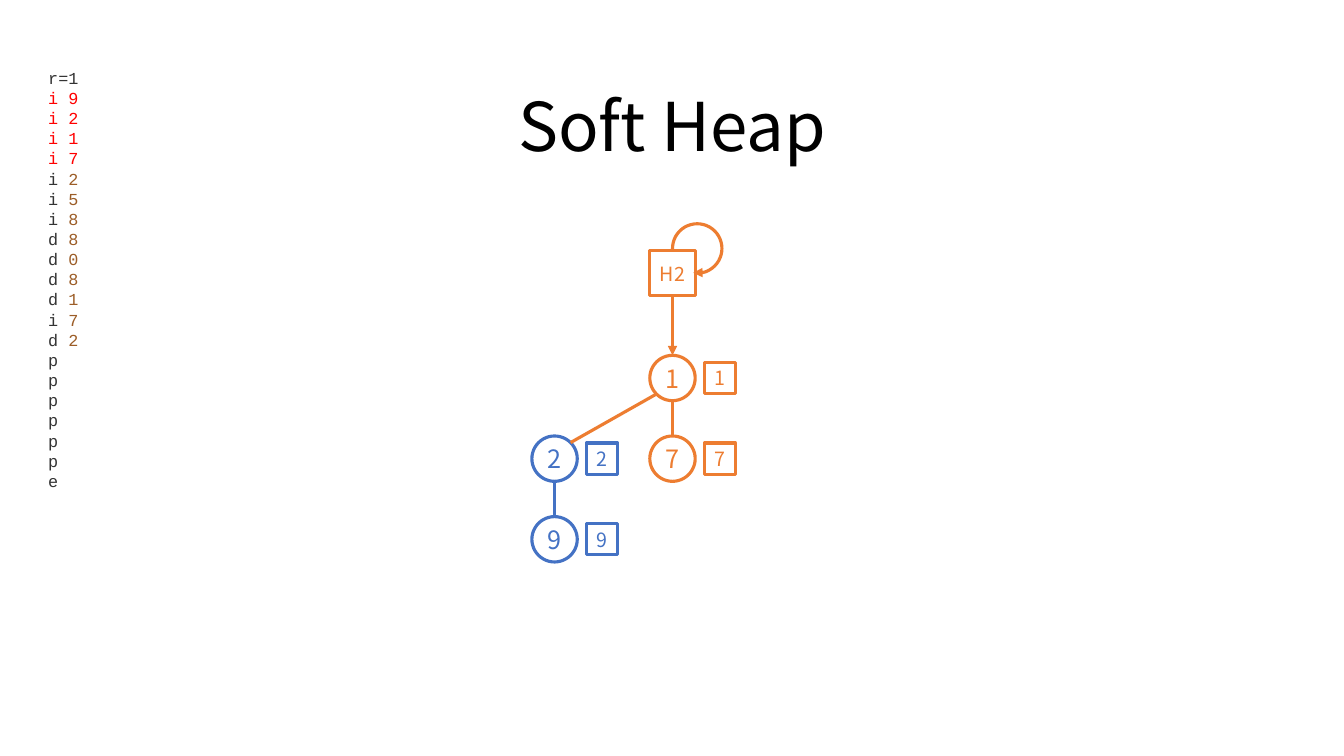
from dataclasses import dataclass
from math import cos, radians, sin

from lxml.etree import SubElement
from pptx import Presentation
from pptx.dml.color import RGBColor
from pptx.enum.shapes import MSO_CONNECTOR, MSO_SHAPE as Preset
from pptx.enum.text import MSO_ANCHOR as Anchor, MSO_AUTO_SIZE as AutoSize, PP_ALIGN as Align
from pptx.oxml.ns import qn
from pptx.util import Inches, Pt

COLORS = {
    "title": "000000",
    "code": "333333",
    "done": "FF0000",
    "number": "9C5D27",
    "orange": "ED7D31",
    "blue": "4472C4",
}
SANS, MONO = "Noto Sans CJK SC", "Courier New"

# Tree grid in inches: centre of column 0, row 0, and the steps between cells
GRID_LEFT, GRID_TOP = 5.5, 3.75
COLUMN_STEP, ROW_STEP = 1.17, 0.8
NODE_SIZE, KEY_SIZE, LOOP_SIZE = 0.45, 0.31, 0.49
KEY_OFFSET = 0.47
HEAP_ROW = -1.3

DONE_STEPS = ["i 9", "i 2", "i 1", "i 7"]
NEXT_STEPS = ["i 2", "i 5", "i 8", "d 8", "d 0", "d 8", "d 1", "i 7", "d 2",
              *["p"] * 6, "e"]


@dataclass(frozen=True)
class Node:
    label: str
    column: float
    row: float
    color: str

    @property
    def center(self) -> tuple[float, float]:
        return GRID_LEFT + self.column * COLUMN_STEP, GRID_TOP + self.row * ROW_STEP

    def rim(self, degrees: float) -> tuple[float, float]:
        """Point on the node's circle, clockwise from the right."""
        x, y = self.center
        angle = radians(degrees)
        return x + NODE_SIZE / 2 * cos(angle), y + NODE_SIZE / 2 * sin(angle)


@dataclass(frozen=True)
class Edge:
    parent: Node
    child: Node
    leave: float = 90
    enter: float = 270
    arrow: bool = False


HEAP = Node("H2", 1, HEAP_ROW, "orange")
ROOT = Node("1", 1, 0, "orange")
RIGHT = Node("7", 1, 1, "orange")
LEFT = Node("2", 0, 1, "blue")
LEAF = Node("9", 0, 2, "blue")
TREE = [ROOT, RIGHT, LEFT, LEAF]
EDGES = [
    Edge(HEAP, ROOT, arrow=True),
    Edge(ROOT, RIGHT),
    Edge(ROOT, LEFT, leave=135, enter=315),
    Edge(LEFT, LEAF),
]


def rgb(color: str) -> RGBColor:
    return RGBColor.from_string(COLORS[color])


def add_run(paragraph, text: str, font_name: str, size: float, color: str) -> None:
    run = paragraph.add_run()
    run.text = text
    run.font.name = font_name
    run.font.size = Pt(size)
    run.font.color.rgb = rgb(color)


def style_line(shape, color: str, arrow: bool = False) -> None:
    shape.line.color.rgb = rgb(color)
    shape.line.width = Pt(2.25)
    if arrow:
        outline = shape.element.spPr.find(qn("a:ln"))
        SubElement(outline, qn("a:tailEnd")).set("type", "triangle")


def add_outline(slide, preset: Preset, center: tuple[float, float], size: float,
                color: str, arrow: bool = False):
    x, y = center
    shape = slide.shapes.add_shape(preset, Inches(x - size / 2), Inches(y - size / 2),
                                   Inches(size), Inches(size))
    shape.shadow.inherit = False
    shape.fill.background()
    style_line(shape, color, arrow)
    return shape


def add_labelled(slide, preset: Preset, center: tuple[float, float], size: float,
                 node: Node, text_size: float) -> None:
    frame = add_outline(slide, preset, center, size, node.color).text_frame
    frame.margin_left = frame.margin_right = frame.margin_top = frame.margin_bottom = 0
    frame.vertical_anchor = Anchor.MIDDLE
    paragraph = frame.paragraphs[0]
    paragraph.alignment = Align.CENTER
    add_run(paragraph, node.label, SANS, text_size, node.color)


def add_tree_node(slide, node: Node) -> None:
    """Draw the circle and, to its right, the box with its key."""
    x, y = node.center
    add_labelled(slide, Preset.OVAL, (x, y), NODE_SIZE, node, 18)
    add_labelled(slide, Preset.RECTANGLE, (x + KEY_OFFSET, y), KEY_SIZE, node, 14)


def add_edge(slide, edge: Edge) -> None:
    points = edge.parent.rim(edge.leave) + edge.child.rim(edge.enter)
    connector = slide.shapes.add_connector(MSO_CONNECTOR.STRAIGHT, *map(Inches, points))
    style_line(connector, edge.child.color if edge.parent is not ROOT else ROOT.color,
               edge.arrow)
    SubElement(connector.element.spPr, qn("a:effectLst"))


def add_heap(slide) -> None:
    """Draw the heap's square and the arrow that leads back to it."""
    x, y = HEAP.center
    add_labelled(slide, Preset.RECTANGLE, (x, y), NODE_SIZE, HEAP, 14)
    corner = (x + LOOP_SIZE / 2, y - LOOP_SIZE / 2)
    loop = add_outline(slide, Preset.ARC, corner, LOOP_SIZE, HEAP.color, arrow=True)
    for index, degrees in enumerate((178.85, 99.45)):
        loop.adjustments[index] = degrees * 0.6


def add_title(slide) -> None:
    title = slide.shapes.title
    title.left, title.top, title.width, title.height = map(Inches, (3.68, 0.71, 5.97, 0.99))
    frame = title.text_frame
    frame.auto_size = AutoSize.NONE
    frame.word_wrap = True
    frame.vertical_anchor = Anchor.BOTTOM
    paragraph = frame.paragraphs[0]
    paragraph.alignment = Align.CENTER
    paragraph.line_spacing = 0.9
    add_run(paragraph, "Soft Heap", SANS, 48, "title")


def add_steps(slide) -> None:
    box = slide.shapes.add_textbox(*map(Inches, (0.38, 0.62, 1.21, 4.34)))
    frame = box.text_frame
    frame.word_wrap = True
    lines = [[("r=1", "code")]]
    lines += [[(step, "done")] for step in DONE_STEPS]
    for step in NEXT_STEPS:
        command, space, number = step.partition(" ")
        lines.append([(command + space, "code")] + ([(number, "number")] if number else []))
    for index, line in enumerate(lines):
        paragraph = frame.add_paragraph() if index else frame.paragraphs[0]
        paragraph.line_spacing = Pt(14.4)
        for text, color in line:
            add_run(paragraph, text, MONO, 12, color)


def main() -> None:
    deck = Presentation()
    deck.slide_width, deck.slide_height = Inches(13.33), Inches(7.5)
    slide = deck.slides.add_slide(deck.slide_layouts.get_by_name("Title Only"))
    add_title(slide)
    add_steps(slide)
    add_heap(slide)
    for node in TREE:
        add_tree_node(slide, node)
    for edge in EDGES:
        add_edge(slide, edge)
    deck.save("out.pptx")


if __name__ == "__main__":
    main()
